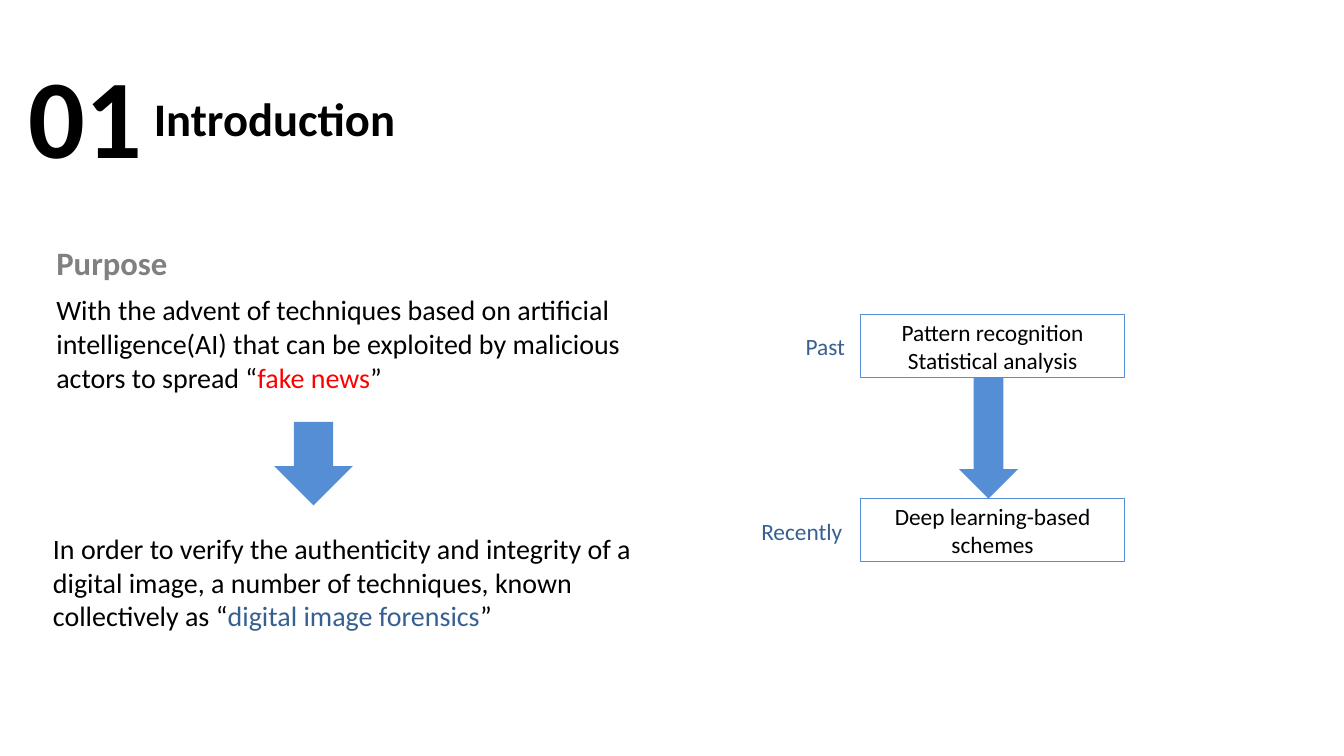
from pptx import Presentation
from pptx.dml.color import RGBColor
from pptx.enum import shapes, text
from pptx.util import Inches, Pt

BLACK = RGBColor(0x00, 0x00, 0x00)
GRAY = RGBColor(0x80, 0x80, 0x80)
RED = RGBColor(0xFF, 0x00, 0x00)
BLUE = RGBColor(0x55, 0x8E, 0xD5)
DARK_BLUE = RGBColor(0x37, 0x60, 0x92)

prs = Presentation()
prs.slide_width, prs.slide_height = Inches(20), Inches(11.25)
slide = prs.slides.add_slide(prs.slide_layouts[6])


def write(shape, paragraphs, size, bold=False, align=text.PP_ALIGN.LEFT):
    """Fill a shape with paragraphs, each a list of (words, colour) runs."""
    frame = shape.text_frame
    frame.word_wrap = True
    frame.auto_size = text.MSO_AUTO_SIZE.SHAPE_TO_FIT_TEXT
    for i, runs in enumerate(paragraphs):
        paragraph = frame.add_paragraph() if i else frame.paragraphs[0]
        paragraph.alignment = align
        for words, colour in runs:
            run = paragraph.add_run()
            run.text = words
            run.font.name = "Calibri"
            run.font.size = Pt(size)
            run.font.bold = bold
            run.font.color.rgb = colour


def add_plain_shape(kind, *box):
    shape = slide.shapes.add_shape(kind, *map(Inches, box))
    shape.shadow.inherit = False
    return shape


# Headings, statements and era labels
purpose = [
    ("With the advent of techniques based on artificial intelligence(AI) "
     "that can be exploited by malicious actors to spread “", BLACK),
    ("fake news", RED),
    ("”", BLACK),
]
response = [
    ("In order to verify the authenticity and integrity of a digital image, "
     "a number of techniques, known collectively as “", BLACK),
    ("digital image forensics", DARK_BLUE),
    ("”", BLACK),
]
for box, runs, size, bold in [
    ((0.33, 0.64, 4, 2.12), [("01", BLACK)], 120, True),
    ((2.19, 1.29, 5.58, 0.94), [("Introduction", BLACK)], 50, True),
    ((0.74, 3.56, 2.7, 0.69), [("Purpose", GRAY)], 35, True),
    ((0.74, 4.31, 9.25, 1.62), purpose, 30, False),
    ((0.69, 7.86, 9.7, 1.62), response, 30, False),
    ((11.89, 4.89, 1.08, 0.52), [("Past", DARK_BLUE)], 25, False),
    ((11.23, 7.65, 1.59, 0.52), [("Recently", DARK_BLUE)], 25, False),
]:
    write(slide.shapes.add_textbox(*map(Inches, box)), [runs], size, bold)

# Method boxes, past above recent
for top, lines in [
    (4.68, ["Pattern recognition", "Statistical analysis"]),
    (7.42, ["Deep learning-based schemes"]),
]:
    method = add_plain_shape(shapes.MSO_SHAPE.RECTANGLE, 12.81, top, 3.92, 0.94)
    method.fill.background()
    method.line.color.rgb = BLUE
    method.line.width = Pt(0.75)
    write(method, [[(line, BLACK)] for line in lines], 25,
          align=text.PP_ALIGN.CENTER)

# Block arrows: problem to response, past to recent
for box in [(4.08, 6.28, 1.17, 1.24), (14.27, 5.62, 0.88, 1.8)]:
    arrow = add_plain_shape(shapes.MSO_SHAPE.DOWN_ARROW, *box)
    arrow.fill.solid()
    arrow.fill.fore_color.rgb = BLUE
    arrow.line.fill.background()

prs.save("out.pptx")
